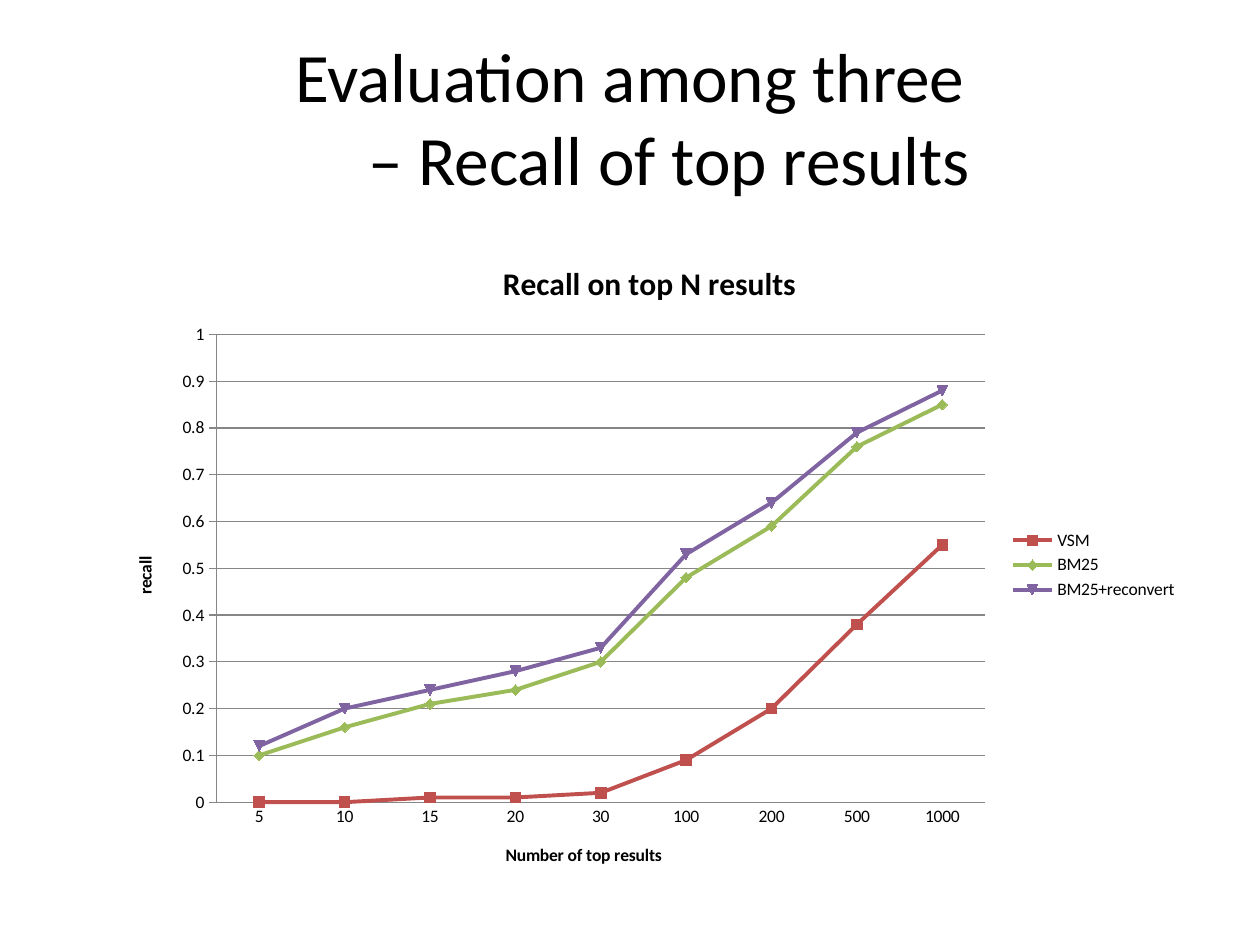
from lxml import etree
from pptx import Presentation
from pptx.chart.data import CategoryChartData
from pptx.dml.color import RGBColor
from pptx.enum.chart import XL_CHART_TYPE, XL_LEGEND_POSITION, XL_TICK_MARK
from pptx.enum.text import MSO_ANCHOR, PP_ALIGN
from pptx.oxml.ns import qn
from pptx.util import Inches, Pt

COLORS = {
    "text": "000000",
    "grid": "868686",
    "VSM": "C0504D",
    "BM25": "9BBB59",
    "BM25+reconvert": "8064A2",
}
TOP_N = ["5", "10", "15", "20", "30", "100", "200", "500", "1000"]
RECALL = {
    "VSM": [0, 0, 0.01, 0.01, 0.02, 0.09, 0.2, 0.38, 0.55],
    "BM25": [0.1, 0.16, 0.21, 0.24, 0.3, 0.48, 0.59, 0.76, 0.85],
    "BM25+reconvert": [0.12, 0.2, 0.24, 0.28, 0.33, 0.53, 0.64, 0.79, 0.88],
}
PLOT_AREA = {"x": 0.1, "y": 0.15, "w": 0.71, "h": 0.71}


class SlideBuilder:
    font_name = "Calibri"

    def __init__(self, slide):
        self.slide = slide

    def color(self, key):
        return RGBColor.from_string(COLORS[key])

    def style_font(self, font, size, bold=False):
        font.name = self.font_name
        font.size = Pt(size)
        font.bold = bold
        font.color.rgb = self.color("text")

    def title(self, lines, left, top, width, height, size):
        heading = self.slide.shapes.title
        heading.left, heading.top = Inches(left), Inches(top)
        heading.width, heading.height = Inches(width), Inches(height)
        frame = heading.text_frame
        frame.word_wrap = True
        frame.vertical_anchor = MSO_ANCHOR.MIDDLE
        paragraph = frame.paragraphs[0]
        paragraph.alignment = PP_ALIGN.CENTER
        for index, line in enumerate(lines):
            if index:
                paragraph.add_line_break()
            run = paragraph.add_run()
            run.text = line
            self.style_font(run.font, size)

    def chart_text(self, owner, text, size):
        run = owner.text_frame.paragraphs[0].add_run()
        run.text = text
        self.style_font(run.font, size, bold=True)

    def axis(self, axis, title, tick):
        self.chart_text(axis.axis_title, title, 10)
        axis.major_tick_mark = tick
        axis.minor_tick_mark = XL_TICK_MARK.NONE
        self.style_font(axis.tick_labels.font, 10)
        self.line(axis.format.line, "grid", 0.75)

    def line(self, line, key, width):
        line.color.rgb = self.color(key)
        line.width = Pt(width)

    def place_plot(self, chart, box):
        plot_area = chart.element.find(".//" + qn("c:plotArea"))
        layout = plot_area.find(qn("c:layout"))
        if layout is None:
            layout = etree.Element(qn("c:layout"))
            plot_area.insert(0, layout)
        manual = etree.SubElement(layout, qn("c:manualLayout"))
        settings = {"layoutTarget": "inner", "xMode": "edge", "yMode": "edge", **box}
        for tag, value in settings.items():
            etree.SubElement(manual, qn("c:" + tag)).set("val", str(value))

    def line_chart(self, title, categories, series_values, left, top, width, height):
        data = CategoryChartData()
        data.categories = categories
        for name, values in series_values.items():
            data.add_series(name, values)
        chart = self.slide.shapes.add_chart(
            XL_CHART_TYPE.LINE_MARKERS,
            Inches(left), Inches(top), Inches(width), Inches(height), data,
        ).chart
        self.style_font(chart.font, 10)
        self.chart_text(chart.chart_title, title, 18)
        chart.chart_title.include_in_layout = False

        # Legend
        chart.has_legend = True
        chart.legend.position = XL_LEGEND_POSITION.RIGHT
        chart.legend.include_in_layout = False
        self.style_font(chart.legend.font, 10)

        # Series
        chart.plots[0].vary_by_categories = False
        for series in chart.plots[0].series:
            series.smooth = False
            self.line(series.format.line, series.name, 2.25)
            series.marker.size = 6
            series.marker.format.fill.solid()
            series.marker.format.fill.fore_color.rgb = self.color(series.name)
            self.line(series.marker.format.line, series.name, 0.75)
        self.place_plot(chart, PLOT_AREA)
        return chart


def main():
    presentation = Presentation()
    presentation.slide_width, presentation.slide_height = Inches(10), Inches(7.5)
    builder = SlideBuilder(
        presentation.slides.add_slide(presentation.slide_layouts.get_by_name("Title Only"))
    )

    # Heading
    builder.title(
        ["Evaluation among three", "\t – Recall of top results"], 0.5, 0.3, 9, 1.25, 39.6
    )

    # Recall chart
    recall_chart = builder.line_chart(
        "Recall on top N results", TOP_N, RECALL, 0.86, 1.87, 8.59, 5.23
    )
    builder.axis(recall_chart.category_axis, "Number of top results", XL_TICK_MARK.NONE)
    recall_axis = recall_chart.value_axis
    builder.axis(recall_axis, "recall", XL_TICK_MARK.CROSS)
    recall_axis.minimum_scale, recall_axis.maximum_scale = 0, 1
    recall_axis.major_unit = 0.1
    recall_axis.has_major_gridlines = True
    builder.line(recall_axis.major_gridlines.format.line, "grid", 0.75)

    presentation.save("out.pptx")


if __name__ == "__main__":
    main()
